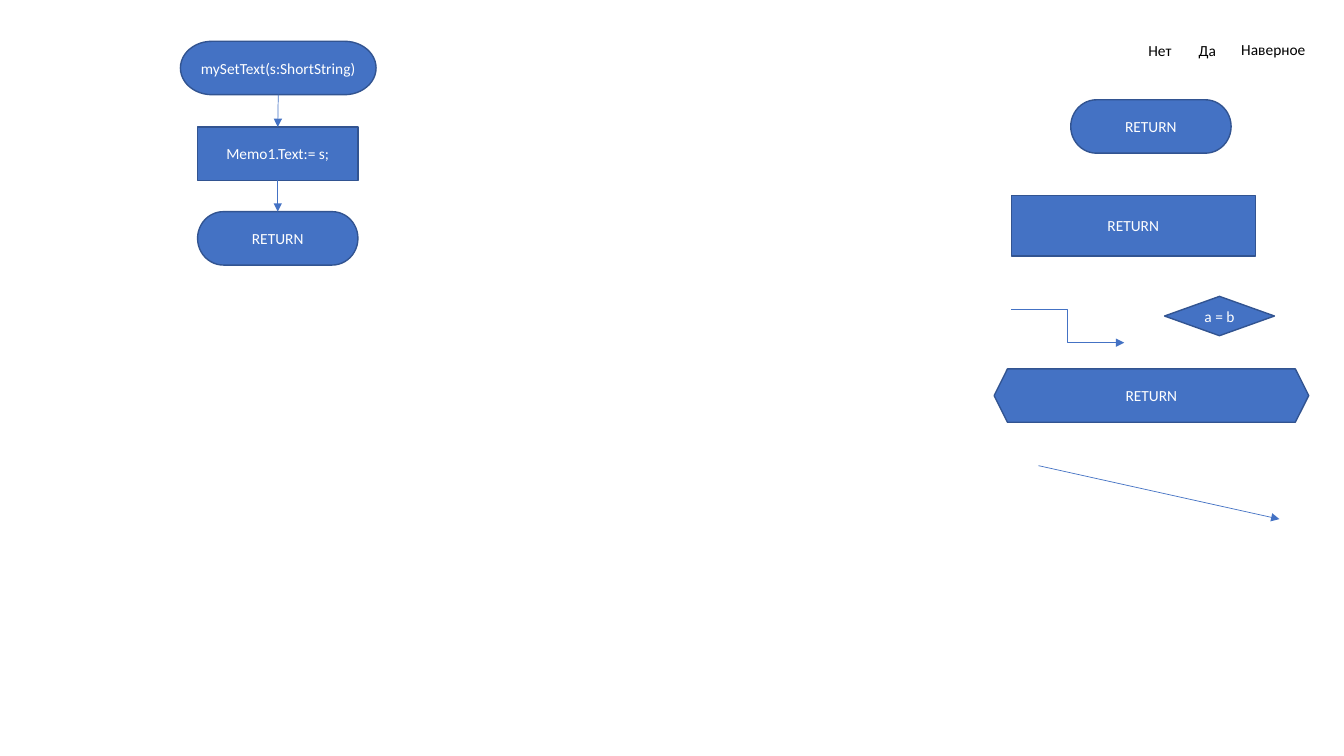
from dataclasses import dataclass

from lxml import etree
from pptx import Presentation
from pptx.dml.color import RGBColor
from pptx.enum import shapes, text
from pptx.oxml import ns
from pptx.util import Inches, Pt

COLORS = {"fill": "4472C4", "outline": "325491", "light": "FFFFFF", "dark": "000000"}
KINDS = shapes.MSO_SHAPE
LINKS = shapes.MSO_CONNECTOR
BOTTOM, TOP = 2, 0


@dataclass(frozen=True)
class Node:
    label: str
    kind: shapes.MSO_SHAPE
    left: float
    top: float
    width: float
    height: float = 0.53


@dataclass(frozen=True)
class Label:
    label: str
    left: float
    width: float
    height: float = 0.28
    top: float = 0.36


@dataclass(frozen=True)
class Arrow:
    kind: shapes.MSO_CONNECTOR
    x1: float
    y1: float
    x2: float
    y2: float


FLOW = [
    Node("mySetText(s:ShortString)", KINDS.FLOWCHART_TERMINATOR, 1.79, 0.41, 1.94),
    Node("Memo1.Text:= s;", KINDS.RECTANGLE, 1.96, 1.26, 1.59),
    Node("RETURN", KINDS.FLOWCHART_TERMINATOR, 1.96, 2.1, 1.59),
]
PALETTE = [
    Node("RETURN", KINDS.FLOWCHART_TERMINATOR, 10.62, 0.99, 1.59),
    Node("RETURN", KINDS.RECTANGLE, 10.03, 1.94, 2.42, 0.6),
    Node("RETURN", KINDS.HEXAGON, 9.86, 3.66, 3.12),
    Node("a = b", KINDS.FLOWCHART_DECISION, 11.55, 2.94, 1.09, 0.39),
]
ANSWERS = [
    Label("Нет", 11.27, 0.47),
    Label("Да", 11.74, 0.47),
    Label("Наверное", 12.2, 0.86, 0.26),
]
ARROWS = [
    Arrow(LINKS.ELBOW, 10.03, 3.07, 11.15, 3.4),
    Arrow(LINKS.STRAIGHT, 10.3, 4.62, 12.69, 5.15),
]


def rgb(name: str) -> RGBColor:
    return RGBColor.from_string(COLORS[name])


def write(sp, label: str, color: str) -> None:
    tf = sp.text_frame
    tf.word_wrap = True
    tf.vertical_anchor = text.MSO_ANCHOR.MIDDLE
    tf.margin_left = tf.margin_right = tf.margin_top = tf.margin_bottom = 0
    p = tf.paragraphs[0]
    p.alignment = text.PP_ALIGN.CENTER
    r = p.add_run()
    r.text = label
    r.font.name = "Calibri"
    r.font.size = Pt(11)
    r.font.color.rgb = rgb(color)


def draw_node(s, node: Node):
    box = map(Inches, (node.left, node.top, node.width, node.height))
    sp = s.shapes.add_shape(node.kind, *box)
    sp.shadow.inherit = False
    sp.fill.solid()
    sp.fill.fore_color.rgb = rgb("fill")
    sp.line.color.rgb = rgb("outline")
    sp.line.width = Pt(1)
    write(sp, node.label, "light")
    return sp


def draw_label(s, item: Label) -> None:
    box = map(Inches, (item.left, item.top, item.width, item.height))
    write(s.shapes.add_textbox(*box), item.label, "dark")


def draw_arrow(s, arrow: Arrow):
    ends = map(Inches, (arrow.x1, arrow.y1, arrow.x2, arrow.y2))
    cn = s.shapes.add_connector(arrow.kind, *ends)
    cn.line.color.rgb = rgb("fill")
    cn.line.width = Pt(0.5)
    sp_pr = cn._element.spPr
    etree.SubElement(sp_pr.find(ns.qn("a:ln")), ns.qn("a:tailEnd"), type="triangle")
    etree.SubElement(sp_pr, ns.qn("a:effectLst"))
    return cn


def main() -> None:
    prs = Presentation()
    prs.slide_width, prs.slide_height = Inches(13.33), Inches(7.5)
    s = prs.slides.add_slide(prs.slide_layouts.get_by_name("Blank"))
    for node in PALETTE:
        draw_node(s, node)
    for item in ANSWERS:
        draw_label(s, item)
    for arrow in ARROWS:
        draw_arrow(s, arrow)
    steps = [draw_node(s, node) for node in FLOW]
    for upper, lower in zip(steps, steps[1:]):
        cn = draw_arrow(s, Arrow(LINKS.STRAIGHT, 0, 0, 0, 0))
        cn.begin_connect(upper, BOTTOM)
        cn.end_connect(lower, TOP)
    prs.save("out.pptx")


if __name__ == "__main__":
    main()
